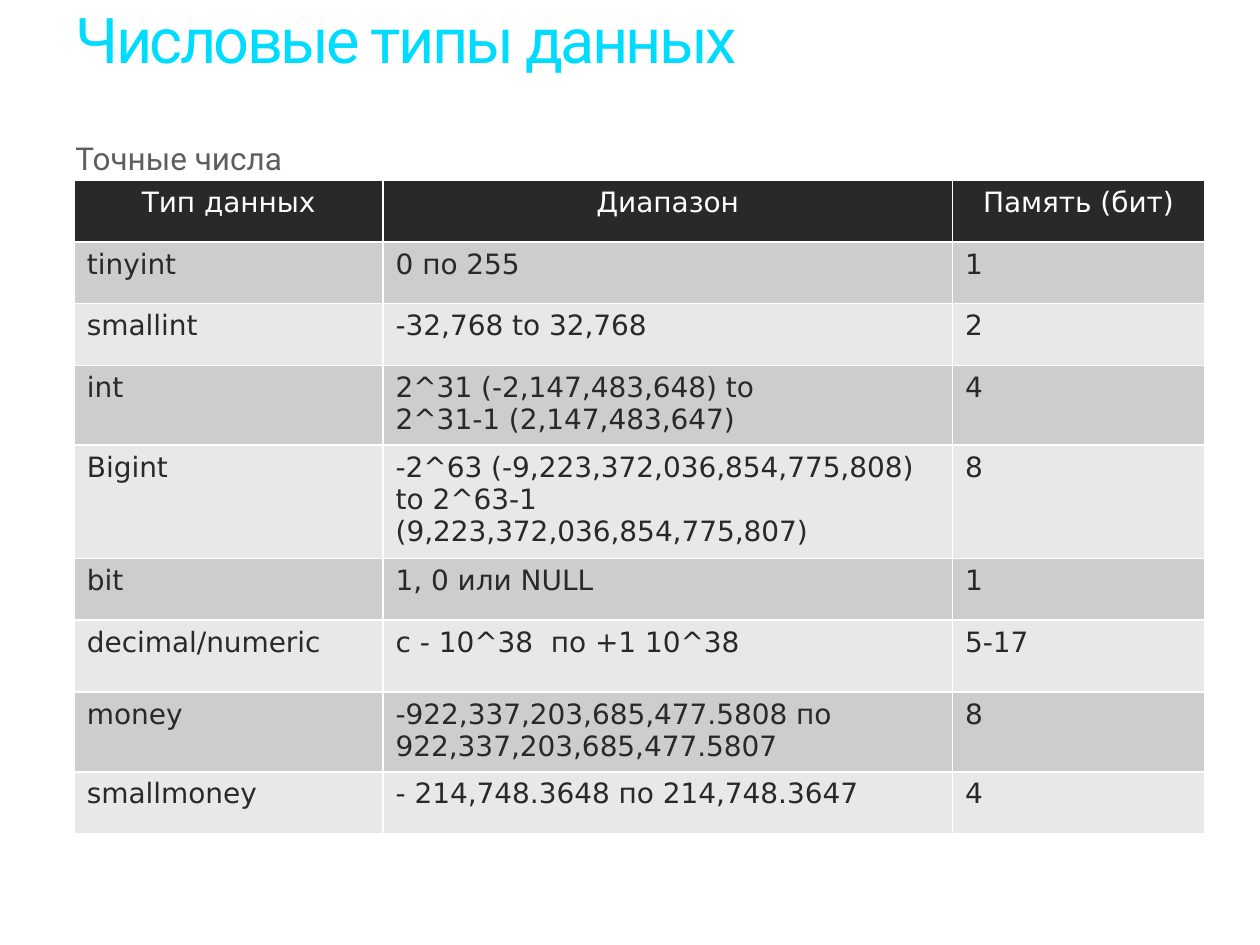
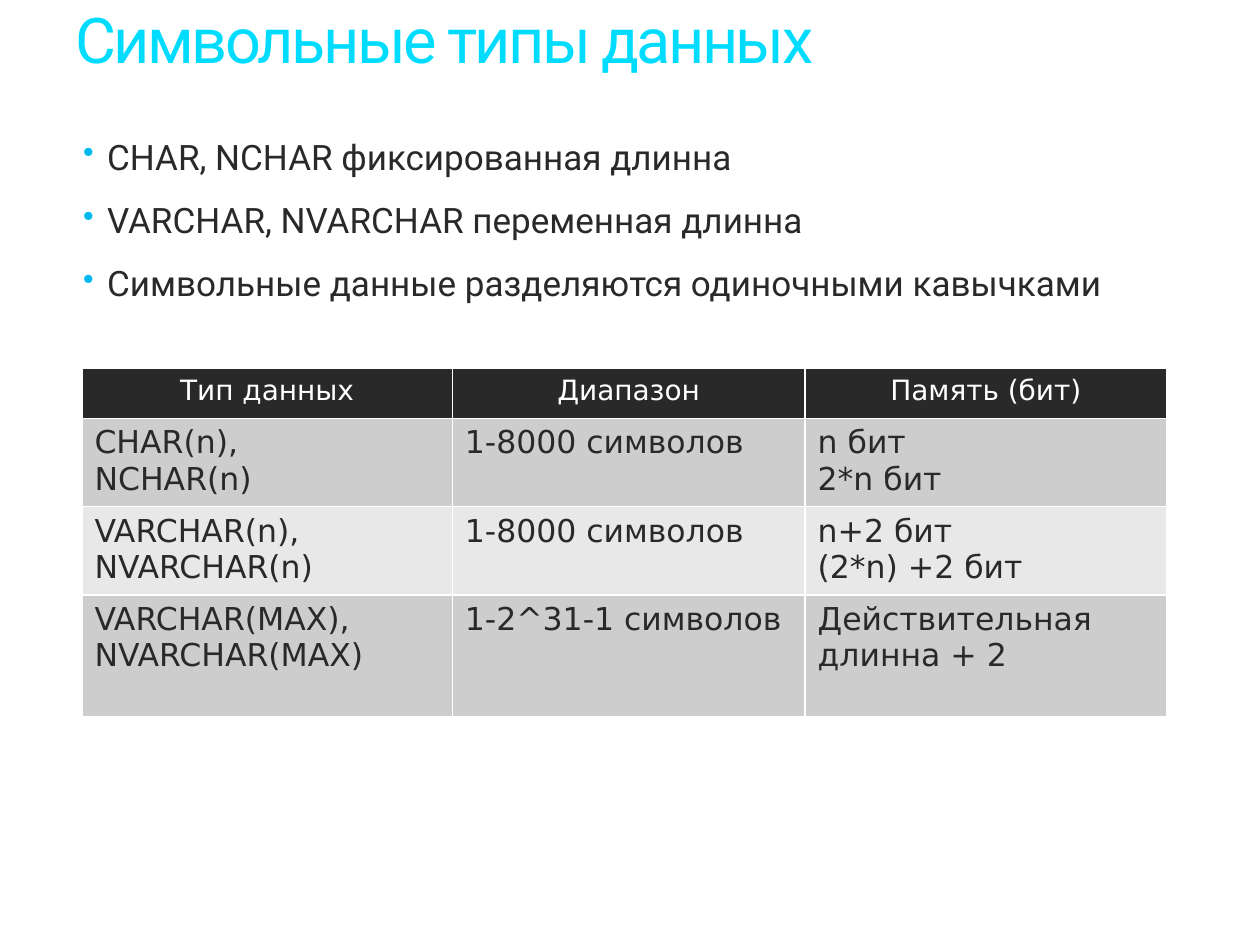
from lxml import etree
from pptx import Presentation
from pptx.dml.color import RGBColor
from pptx.enum.text import MSO_ANCHOR, MSO_AUTO_SIZE, PP_ALIGN
from pptx.oxml.ns import qn
from pptx.util import Inches, Pt

TOP = MSO_ANCHOR.TOP
FIXED = MSO_AUTO_SIZE.NONE
LEFT, CENTER = PP_ALIGN.LEFT, PP_ALIGN.CENTER

CYAN = RGBColor(0x00, 0xDC, 0xFF)
BLUE = RGBColor(0x00, 0xB9, 0xF2)
DARK = RGBColor(0x29, 0x29, 0x29)
GRAY = RGBColor(0x5E, 0x5E, 0x5E)
MID = RGBColor(0xCD, 0xCD, 0xCD)
PALE = RGBColor(0xE8, 0xE8, 0xE8)
WHITE = RGBColor(0xFF, 0xFF, 0xFF)

SANS, MONO = "Roboto", "DejaVu Sans"
HEAD = ["Тип данных", "Диапазон", "Память (бит)"]
NUMBERS = [
    ["tinyint", "0 по 255", "1"],
    ["smallint", "-32,768 to 32,768", "2"],
    ["int", "2^31 (-2,147,483,648) to \v2^31-1 (2,147,483,647)", "4"],
    ["Bigint", "-2^63 (-9,223,372,036,854,775,808) to 2^63-1 "
     "(9,223,372,036,854,775,807)", "8"],
    ["bit", "1, 0 или NULL", "1"],
    ["decimal/numeric", "с - 10^38  по +1 10^38", "5-17"],
    ["money", "-922,337,203,685,477.5808 по 922,337,203,685,477.5807", "8"],
    ["smallmoney", "- 214,748.3648 по 214,748.3647", "4"],
]
STRINGS = [
    ["CHAR(n), \vNCHAR(n)", "1-8000 символов", "n бит\n2*n бит"],
    ["VARCHAR(n), \nNVARCHAR(n)", "1-8000 символов", "n+2 бит\n(2*n) +2 бит"],
    ["VARCHAR(MAX),\vNVARCHAR(MAX)", "1-2^31-1 символов",
     "Действительная длинна + 2"],
]
POINTS = [
    "CHAR, NCHAR фиксированная длинна",
    "VARCHAR, NVARCHAR переменная длинна",
    "Символьные данные разделяются одиночными кавычками",
]


def assign(item, **values):
    """Set every given attribute on the item."""
    for name, value in values.items():
        setattr(item, name, value)


def style(frame, face, size, color, **values):
    """Give all text of a frame one font and paragraph format."""
    for para in frame.paragraphs:
        assign(para, **values)
        for run in para.runs:
            assign(run.font, name=face, size=Pt(size), bold=False)
            run.font.color.rgb = color


def add_page(deck, text):
    """Add a slide with the shared title style."""
    page = deck.slides.add_slide(deck.slide_layouts[5])
    title = page.shapes.title
    assign(title, left=Inches(0.5), top=Inches(0), width=Inches(8.5),
           height=Inches(0.81))
    frame = title.text_frame
    assign(frame, text=text, word_wrap=True, auto_size=FIXED,
           vertical_anchor=TOP, margin_top=Inches(0.07))
    style(frame, SANS, 36, CYAN, alignment=LEFT, line_spacing=0.9)
    frame.paragraphs[0].runs[0].font._element.set("spc", "-150")
    return page


def add_text(page, box, text, size, color, **values):
    """Add a wrapped text box and return its frame."""
    frame = page.shapes.add_textbox(*map(Inches, box)).text_frame
    assign(frame, text=text, word_wrap=True)
    style(frame, SANS, size, color, line_spacing=0.9, **values)
    return frame


def add_list(page, box, lines):
    """Add a list with blue bullets."""
    frame = add_text(page, box, "\n".join(lines), 20, DARK,
                     space_after=Pt(14.5))
    assign(frame, margin_left=0, margin_top=0, margin_right=0,
           margin_bottom=0)
    indent = Inches(0.19)
    for para in frame.paragraphs:
        props = para._p.get_or_add_pPr()
        props.set("marL", str(indent))
        props.set("indent", str(-indent))
        tint = etree.SubElement(props, qn("a:buClr"))
        etree.SubElement(tint, qn("a:srgbClr"), val=str(BLUE))
        etree.SubElement(props, qn("a:buSzPct"), val="90000")
        etree.SubElement(props, qn("a:buChar"), char="•")


def add_grid(page, box, rows, widths, heights, size):
    """Add a table with a dark head and banded rows."""
    cells = [HEAD] + rows
    grid = page.shapes.add_table(len(cells), len(HEAD),
                                 *map(Inches, box)).table
    for col, width in zip(grid.columns, widths):
        col.width = Inches(width)
    for r, (row, height) in enumerate(zip(cells, heights)):
        grid.rows[r].height = Inches(height)
        fill = DARK if r == 0 else MID if r % 2 else PALE
        look = (16, WHITE, CENTER) if r == 0 else (size, DARK, LEFT)
        for c, text in enumerate(row):
            cell = grid.cell(r, c)
            cell.fill.solid()
            cell.fill.fore_color.rgb = fill
            cell.text_frame.text = text
            style(cell.text_frame, MONO, *look[:2], alignment=look[2])


def add_numbers(deck):
    """Build the slide on numeric types."""
    page = add_page(deck, "Числовые типы данных")
    add_text(page, (0.5, 1.09, 8.48, 4.49), "Точные числа", 18, GRAY)
    add_grid(page, (0.59, 1.43, 8.97, 4.93), NUMBERS, (2.45, 4.52, 2),
             (0.49, 0.49, 0.49, 0.57, 0.57, 0.49, 0.57, 0.49, 0.49), 16)


def add_strings(deck):
    """Build the slide on character types."""
    page = add_page(deck, "Символьные типы данных")
    add_list(page, (0.66, 1.11, 8.48, 4.8), POINTS)
    add_grid(page, (0.65, 2.92, 8.61, 2.74), STRINGS, (2.94, 2.8, 2.87),
             (0.4, 0.68, 0.68, 0.97), 18)


def main():
    """Build and save the deck."""
    deck = Presentation()
    assign(deck, slide_width=Inches(10), slide_height=Inches(7.5))
    add_numbers(deck)
    add_strings(deck)
    deck.save("out.pptx")


main()
